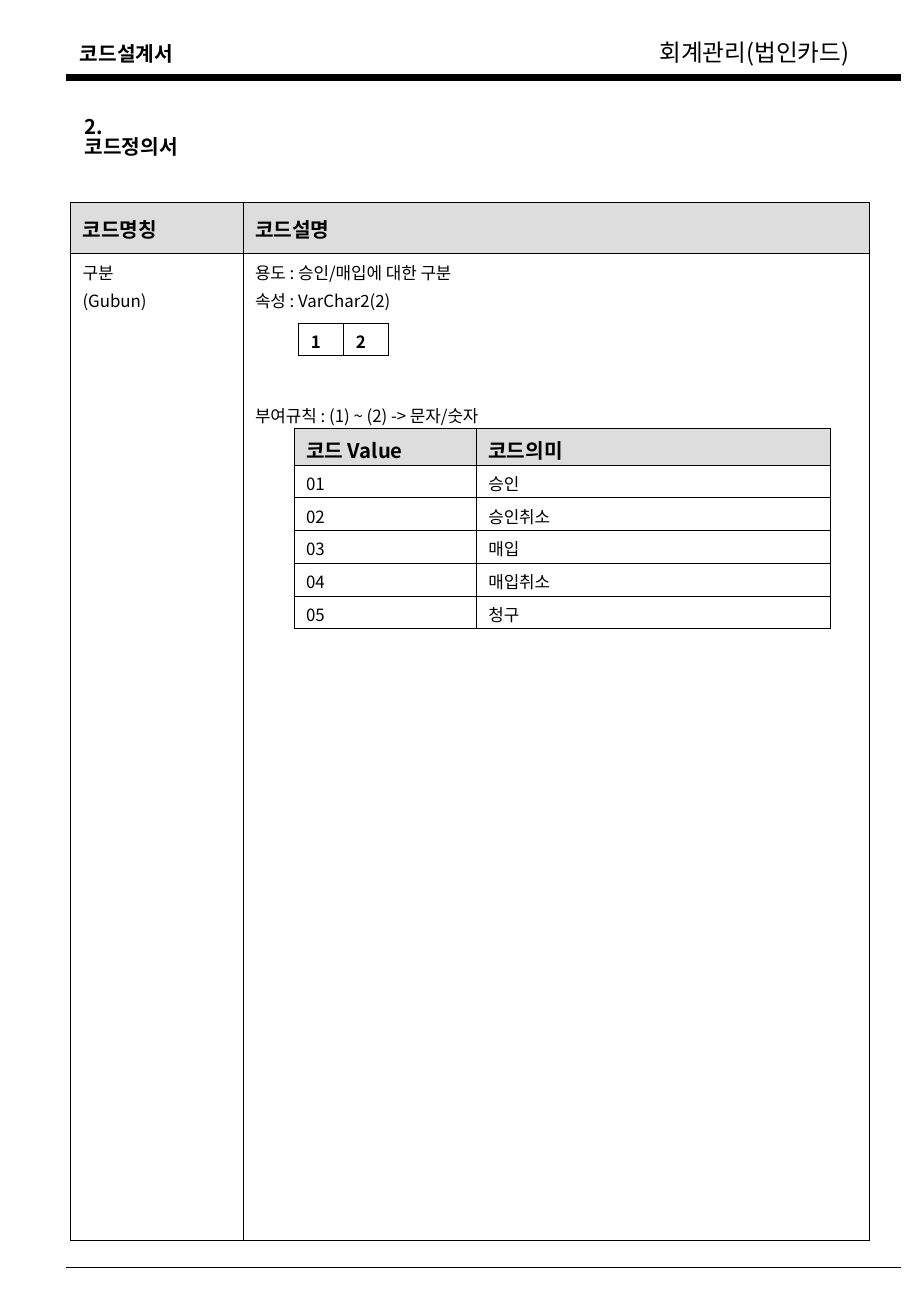
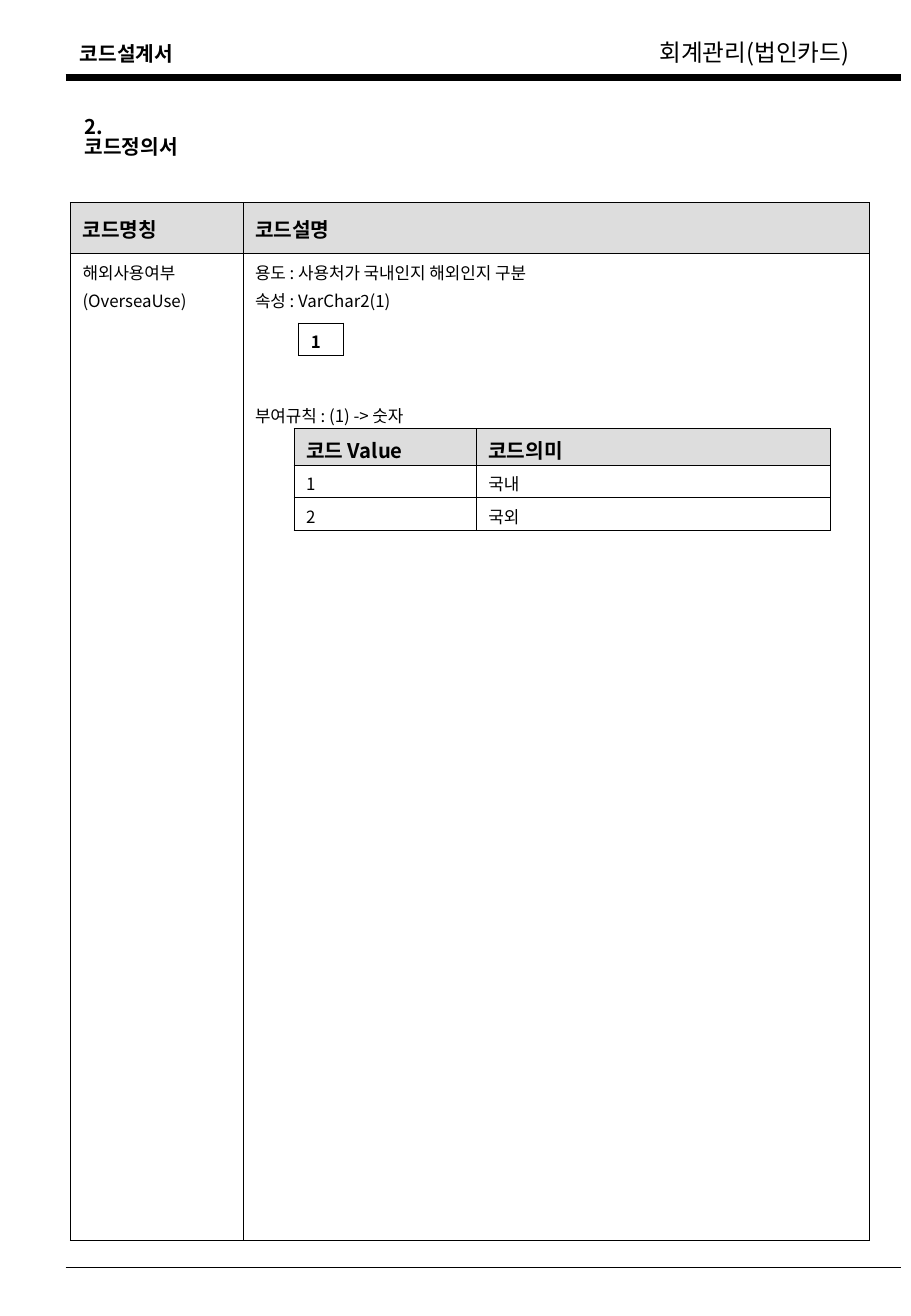
from lxml.etree import SubElement
from pptx import Presentation
from pptx.dml.color import RGBColor
from pptx.enum.shapes import MSO_CONNECTOR
from pptx.enum.text import MSO_ANCHOR
from pptx.oxml.ns import qn
from pptx.util import Inches, Pt

PAGE_W, PAGE_H = 7.5, 10.84
FONT = "Noto Sans CJK KR"
BLACK = RGBColor(0x00, 0x00, 0x00)
HEADER_GREY = RGBColor(0xDD, 0xDD, 0xDD)
THIN, THICK = 0.45, 0.75
HEADING_SIZE, BODY_SIZE = 12, 10
RULE_LEFT, RULE_RIGHT = 0.54, 7.42
DEFINITION_BOX = (0.58, 1.67, 6.58, 8.55)
NAME_COLUMN, HEADING_ROW = 1.42, 0.42
VALUE_HEADING_ROW, VALUE_ROW = 0.3, 0.27
DIGIT_COLUMN = 0.37
RULE_GAP = 53.5  # room for the digit boxes above the last line

CODES = [
    {
        "name": ["구분", "(Gubun)"],
        "description": ["용도 : 승인/매입에 대한 구분", "속성 : VarChar2(2)",
                        "부여규칙 : (1) ~ (2) -> 문자/숫자"],
        "digits": ["1", "2"],
        "values": [("01", "승인"), ("02", "승인취소"), ("03", "매입"),
                   ("04", "매입취소"), ("05", "청구")],
    },
    {
        "name": ["해외사용여부", "(OverseaUse)"],
        "description": ["용도 : 사용처가 국내인지 해외인지 구분", "속성 : VarChar2(1)",
                        "부여규칙 : (1) -> 숫자"],
        "digits": ["1"],
        "values": [("1", "국내"), ("2", "국외")],
    },
]


def style_paragraph(paragraph, size, bold):
    for run in paragraph.runs:
        font = run.font
        font.name, font.size, font.bold = FONT, Pt(size), bold
        font.color.rgb = BLACK
        SubElement(run._r.get_or_add_rPr(), qn("a:ea")).set("typeface", FONT)


def add_label(slide, text, box, size, bold=True):
    frame = slide.shapes.add_textbox(*map(Inches, box)).text_frame
    frame.word_wrap = True
    frame.text = text
    frame.paragraphs[0].line_spacing = 0.85
    style_paragraph(frame.paragraphs[0], size, bold)


def add_rule(slide, y, width):
    rule = slide.shapes.add_connector(
        MSO_CONNECTOR.STRAIGHT, Inches(RULE_LEFT), Inches(y), Inches(RULE_RIGHT), Inches(y))
    rule.line.color.rgb = BLACK
    rule.line.width = Pt(width)
    SubElement(rule._element.spPr, qn("a:effectLst"))


def set_borders(cell, widths):
    """Draw the left, right, top and bottom borders of a cell."""
    properties = cell._tc.get_or_add_tcPr()
    for index, (side, width) in enumerate(zip("LRTB", widths)):
        border = SubElement(properties, qn(f"a:ln{side}"), w=str(Pt(width)))
        fill = SubElement(border, qn("a:solidFill"))
        SubElement(fill, qn("a:srgbClr"), val=str(BLACK))
        properties.insert(index, border)


def fill_cell(cell, lines, heading=False, bold=False, middle=False):
    cell.text = "\n".join(lines)
    for paragraph in cell.text_frame.paragraphs:
        paragraph.space_before = Pt(3 if heading else 2.5)
        style_paragraph(paragraph, HEADING_SIZE if heading else BODY_SIZE, heading or bold)
    cell.vertical_anchor = MSO_ANCHOR.MIDDLE if heading or middle else MSO_ANCHOR.TOP
    if heading:
        cell.fill.solid()
        cell.fill.fore_color.rgb = HEADER_GREY
    else:
        cell.fill.background()


def add_grid(slide, left, top, columns, rows, cells, outer=THIN, headed=True, **look):
    """Place a table whose cells are lists of lines; the first row may be a heading."""
    table = slide.shapes.add_table(
        len(rows), len(columns), Inches(left), Inches(top),
        Inches(sum(columns)), Inches(sum(rows))).table
    table.first_row = table.horz_banding = False
    for column, width in zip(table.columns, columns):
        column.width = Inches(width)
    for row, height in zip(table.rows, rows):
        row.height = Inches(height)
    last_row, last_column = len(rows) - 1, len(columns) - 1
    for r, row_cells in enumerate(cells):
        for c, lines in enumerate(row_cells):
            cell = table.cell(r, c)
            fill_cell(cell, lines, heading=headed and r == 0, **look)
            edges = (c == 0, c == last_column, r == 0, r == last_row)
            set_borders(cell, [outer if edge else THIN for edge in edges])
    return table


def add_page_frame(slide):
    # Running header, its rule and the footer rule
    add_label(slide, "코드설계서", (0.56, 0.32, 1.2, 0.3), HEADING_SIZE)
    add_label(slide, "회계관리(법인카드)", (5.33, 0.3, 1.97, 0.34), 14, bold=False)
    add_rule(slide, 0.64, 4.5)
    add_rule(slide, 10.44, 1)
    # Section title
    add_label(slide, "2. 코드정의서", (0.6, 0.92, 1.1, 0.5), HEADING_SIZE)


def add_definition(slide, code, box):
    left, top, width, height = box
    # Name and description of the code
    definition = add_grid(
        slide, left, top, [NAME_COLUMN, width - NAME_COLUMN],
        [HEADING_ROW, height - HEADING_ROW],
        [[["코드명칭"], ["코드설명"]], [code["name"], code["description"]]], outer=THICK)
    definition.cell(1, 1).text_frame.paragraphs[-1].space_before = Pt(RULE_GAP)

    # Code values and their meanings
    body_left, body_top = left + NAME_COLUMN, top + HEADING_ROW
    value_rows = [("코드 Value", "코드의미")] + code["values"]
    add_grid(
        slide, body_left + 0.42, body_top + 1.44, [1.5, 2.92],
        [VALUE_HEADING_ROW] + [VALUE_ROW] * len(code["values"]),
        [[[value], [meaning]] for value, meaning in value_rows])

    # Digit positions
    add_grid(
        slide, body_left + 0.46, body_top + 0.57, [DIGIT_COLUMN] * len(code["digits"]),
        [VALUE_ROW], [[[digit] for digit in code["digits"]]],
        headed=False, bold=True, middle=True)


def main():
    deck = Presentation()
    deck.slide_width, deck.slide_height = Inches(PAGE_W), Inches(PAGE_H)
    for code in CODES:
        slide = deck.slides.add_slide(deck.slide_layouts[6])
        add_page_frame(slide)
        add_definition(slide, code, DEFINITION_BOX)
    deck.save("out.pptx")


if __name__ == "__main__":
    main()
